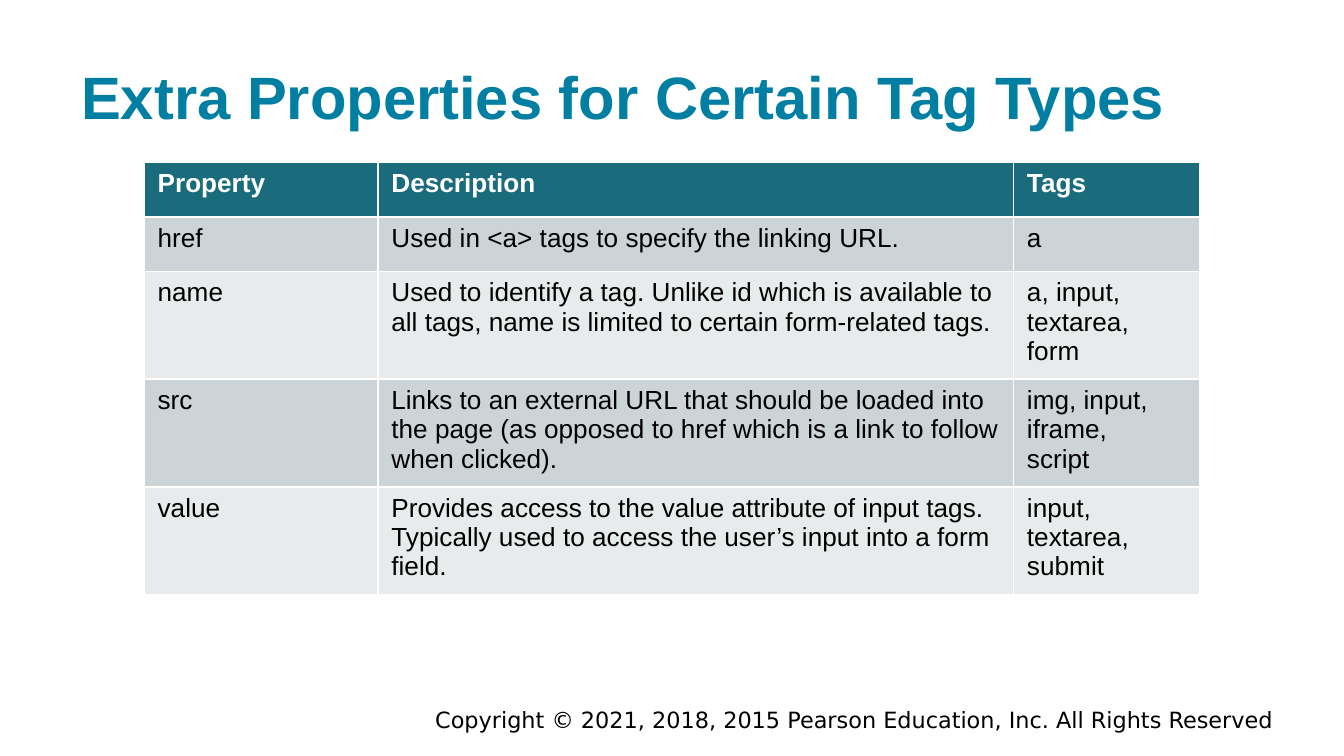
"""Build a slide with a table of extra properties for certain tag types."""
from lxml.etree import SubElement
from pptx import Presentation
from pptx.dml.color import RGBColor
from pptx.enum.text import MSO_ANCHOR, PP_ALIGN
from pptx.oxml.ns import qn
from pptx.util import Pt

PX = 9525
COLORS = {"title": "007FA3", "head": "1A6C7C", "odd": "CDD4D7",
          "even": "E8EBEC", "white": "FFFFFF", "black": "000000"}
WIDTHS = [167, 454, 133]
HEIGHTS = [39, 39, 73, 73, 73]
ROWS = [
    ("Property", "Description", "Tags"),
    ("href", "Used in <a> tags to specify the linking URL.", "a"),
    ("name", "Used to identify a tag. Unlike id which is available to all tags, "
     "name is limited to certain form-related tags.", "a, input, textarea,\nform"),
    ("src", "Links to an external URL that should be loaded into the page "
     "(as opposed to href which is a link to follow when clicked).",
     "img, input, iframe,\nscript"),
    ("value", "Provides access to the value attribute of input tags. Typically "
     "used to access the user’s input into a form field.",
     "input, textarea,\nsubmit"),
]


def px(*sizes):
    return [size * PX for size in sizes]


def write(frame, text, size, color, bold=False, face="Arial", align=PP_ALIGN.LEFT):
    frame.text = text
    for para in frame.paragraphs:
        para.alignment = align
        font = para.font
        font.name, font.size, font.bold = face, Pt(size), bold
        font.color.rgb = RGBColor.from_string(COLORS[color])


def add_text(slide, box, text, size, color, anchor, inset, **style):
    frame = slide.shapes.add_textbox(*px(*box)).text_frame
    frame.word_wrap = True
    frame.vertical_anchor = anchor
    frame.margin_top = frame.margin_bottom = inset * PX
    frame.margin_left = frame.margin_right = 10 * PX
    write(frame, text, size, color, **style)


def add_edges(cell):
    props = cell._tc.get_or_add_tcPr()
    for side in ("lnL", "lnR", "lnT", "lnB"):
        line = SubElement(props, qn(f"a:{side}"), w=str(Pt(1)))
        fill = SubElement(line, qn("a:solidFill"))
        SubElement(fill, qn("a:srgbClr"), val=COLORS["white"])


def fill_cell(cell, text, row):
    add_edges(cell)
    shade = "head" if row == 0 else "odd" if row % 2 else "even"
    cell.fill.solid()
    cell.fill.fore_color.rgb = RGBColor.from_string(COLORS[shade])
    write(cell.text_frame, text, 14, "black" if row else "white", bold=row == 0)


def add_grid(slide, left, top):
    size = px(left, top, sum(WIDTHS), sum(HEIGHTS))
    table = slide.shapes.add_table(len(ROWS), len(WIDTHS), *size).table
    for col, width in zip(table.columns, px(*WIDTHS)):
        col.width = width
    for row, height in zip(table.rows, px(*HEIGHTS)):
        row.height = height
    for r, texts in enumerate(ROWS):
        for c, text in enumerate(texts):
            fill_cell(table.cell(r, c), text, r)


def main():
    deck = Presentation()
    deck.slide_width, deck.slide_height = px(960, 540)
    slide = deck.slides.add_slide(deck.slide_layouts[6])
    add_text(slide, (168, 506, 752, 16),
             "Copyright © 2021, 2018, 2015 Pearson Education, Inc. All Rights Reserved",
             12, "black", MSO_ANCHOR.MIDDLE, 5, face="DejaVu Sans", align=PP_ALIGN.RIGHT)
    add_text(slide, (48, 17, 864, 87), "Extra Properties for Certain Tag Types",
             32, "title", MSO_ANCHOR.BOTTOM, 10, bold=True)
    add_grid(slide, 103, 116)
    deck.save("out.pptx")


if __name__ == "__main__":
    main()
